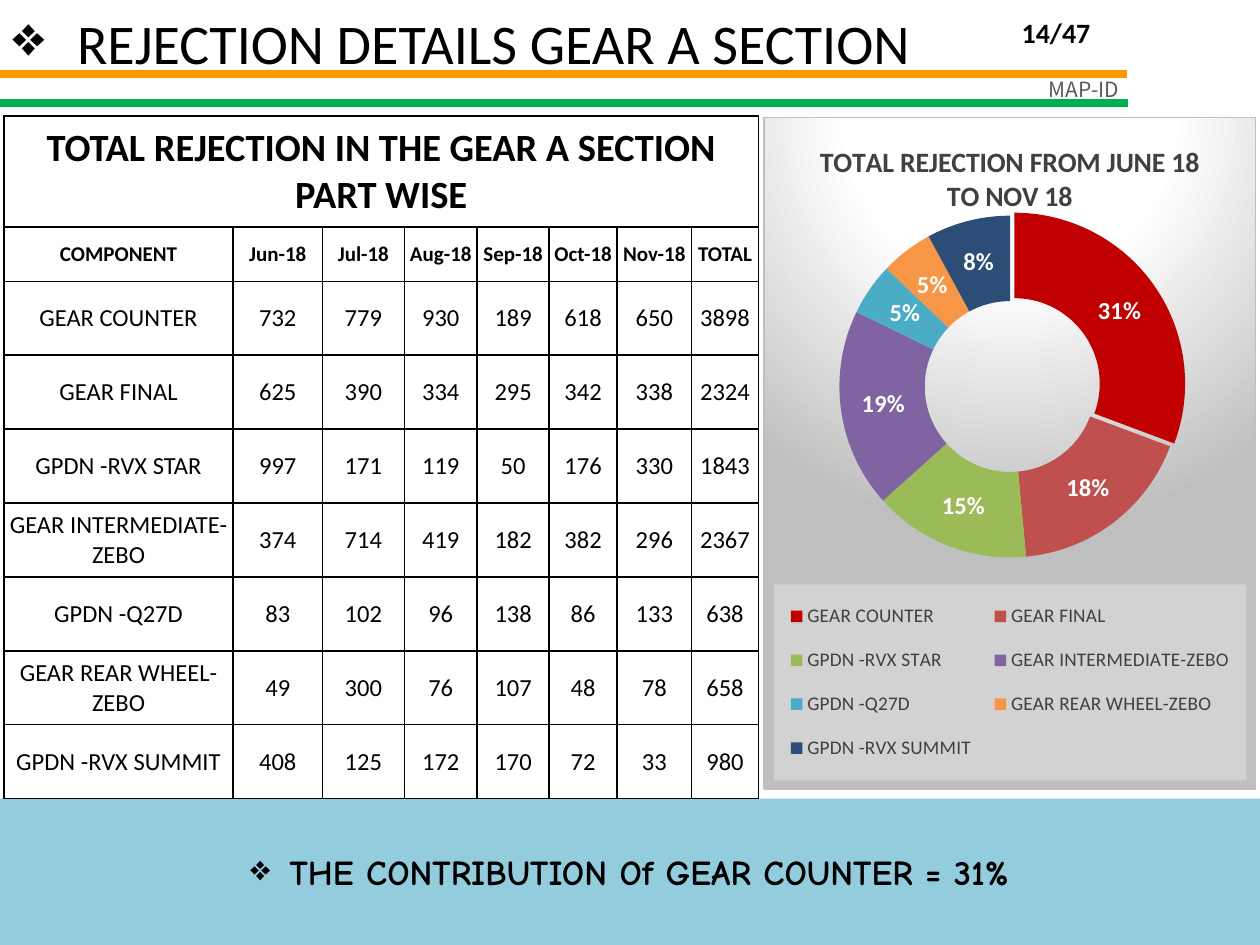
from lxml import etree
from pptx import Presentation
from pptx.chart.data import CategoryChartData
from pptx.dml.color import RGBColor
from pptx.enum.chart import XL_CHART_TYPE as ChartType, XL_LEGEND_POSITION as LegendPosition
from pptx.enum.shapes import MSO_CONNECTOR as Connector, MSO_SHAPE as Shape
from pptx.enum.text import MSO_ANCHOR as Anchor, PP_ALIGN as Align
from pptx.oxml import parse_xml
from pptx.oxml.ns import nsdecls, qn
from pptx.util import Cm, Pt

TITLE = "REJECTION DETAILS GEAR A SECTION"
PAGE = "14/47"
MAP_LABEL = "MAP-ID"
CONCLUSION = "THE CONTRIBUTION Of GEAR COUNTER = 31%"
TABLE_TITLE = "TOTAL REJECTION IN THE GEAR A SECTION PART WISE"
CHART_TITLE = "TOTAL REJECTION FROM JUNE 18 TO NOV 18"
HEADER = ["COMPONENT", "Jun-18", "Jul-18", "Aug-18", "Sep-18", "Oct-18", "Nov-18", "TOTAL"]
# component, monthly rejections, slice colour
COMPONENTS = [
    ("GEAR COUNTER", [732, 779, 930, 189, 618, 650], "C00000"),
    ("GEAR FINAL", [625, 390, 334, 295, 342, 338], "C0504D"),
    ("GPDN -RVX STAR", [997, 171, 119, 50, 176, 330], "9BBB59"),
    ("GEAR INTERMEDIATE-ZEBO", [374, 714, 419, 182, 382, 296], "8064A2"),
    ("GPDN -Q27D", [83, 102, 96, 138, 86, 133], "4BACC6"),
    ("GEAR REAR WHEEL-ZEBO", [49, 300, 76, 107, 48, 78], "F79646"),
    ("GPDN -RVX SUMMIT", [408, 125, 172, 170, 72, 33], "2C4D75"),
]
COLUMN_WIDTHS = [4.62, 1.8, 1.65, 1.47, 1.45, 1.37, 1.5, 1.35]
ROW_HEIGHTS = [2.24, 1.09] + [1.49] * len(COMPONENTS)
# y, right end, colour
RULES = [(1.5, 22.71, "FF9900"), (2.08, 22.73, "00B050")]


def color(value):
    return RGBColor.from_string(value)


def box(left, top, width, height):
    return Cm(left), Cm(top), Cm(width), Cm(height)


def set_font(font, size, hex_color="000000", bold=False, name="Calibri"):
    font.name, font.size, font.bold = name, Pt(size), bold
    font.color.rgb = color(hex_color)


def add_bullet(paragraph, indent):
    properties = paragraph._p.get_or_add_pPr()
    properties.set("marL", str(Cm(indent)))
    properties.set("indent", str(-Cm(indent)))
    etree.SubElement(properties, qn("a:buChar")).set("char", "❖")


def add_rule(slide, y, right, hex_color):
    rule = slide.shapes.add_connector(Connector.STRAIGHT, Cm(0), Cm(y), Cm(right), Cm(y))
    rule.line.color.rgb = color(hex_color)
    rule.line.width = Pt(4.5)
    etree.SubElement(rule._element.spPr, qn("a:effectLst"))


def add_title(slide):
    title = slide.shapes.title
    title.left, title.top, title.width, title.height = box(0, -0.05, 25.4, 1.8)
    title.text_frame.text = TITLE
    title.text_frame.vertical_anchor = Anchor.MIDDLE
    paragraph = title.text_frame.paragraphs[0]
    paragraph.alignment = Align.LEFT
    add_bullet(paragraph, 1.3)
    run = paragraph.runs[0]
    set_font(run.font, 32)
    fill = run._r.rPr.find(qn("a:solidFill"))
    fill.addnext(parse_xml(
        f'<a:effectLst {nsdecls("a")}><a:outerShdw blurRad="38100" dist="38100" dir="2700000">'
        '<a:srgbClr val="000000"><a:alpha val="43000"/></a:srgbClr></a:outerShdw></a:effectLst>'))


def add_label(slide, text, position, **font):
    frame = slide.shapes.add_textbox(*position).text_frame
    frame.word_wrap = True
    frame.vertical_anchor = Anchor.MIDDLE
    frame.text = text
    frame.paragraphs[0].alignment = Align.RIGHT
    set_font(frame.paragraphs[0].runs[0].font, **font)


def add_conclusion(slide):
    band = slide.shapes.add_shape(Shape.RECTANGLE, *box(0, 16.1, 25.4, 2.95))
    band.shadow.inherit = False
    band.fill.solid()
    band.fill.fore_color.rgb = color("93CDDD")
    band.line.fill.background()
    frame = band.text_frame
    frame.vertical_anchor = Anchor.MIDDLE
    frame.text = CONCLUSION
    paragraph = frame.paragraphs[0]
    paragraph.alignment = Align.CENTER
    add_bullet(paragraph, 0.79)
    set_font(paragraph.runs[0].font, 20, bold=True, name="Comic Neue")


def format_cell(cell, text, size, bold):
    cell.margin_left = cell.margin_right = cell.margin_top = cell.margin_bottom = 0
    cell.vertical_anchor = Anchor.MIDDLE
    cell.fill.background()
    for index, side in enumerate(("lnL", "lnR", "lnT", "lnB")):
        cell._tc.tcPr.insert(index, parse_xml(
            f'<a:{side} {nsdecls("a")} w="12700"><a:solidFill><a:srgbClr val="000000"/>'
            f'</a:solidFill></a:{side}>'))
    if text:
        cell.text = text
        paragraph = cell.text_frame.paragraphs[0]
        paragraph.alignment = Align.CENTER
        set_font(paragraph.runs[0].font, size, bold=bold)


def add_rejection_table(slide):
    rows = [[TABLE_TITLE] + [""] * (len(HEADER) - 1), HEADER]
    rows += [[name, *map(str, months), str(sum(months))] for name, months, _ in COMPONENTS]
    table = slide.shapes.add_table(
        len(rows), len(HEADER),
        *box(0.08, 2.34, sum(COLUMN_WIDTHS), sum(ROW_HEIGHTS))).table
    table.first_row = table.horz_banding = False
    for column, width in zip(table.columns, COLUMN_WIDTHS):
        column.width = Cm(width)
    for row, height in zip(table.rows, ROW_HEIGHTS):
        row.height = Cm(height)
    table.cell(0, 0).merge(table.cell(0, len(HEADER) - 1))
    for r, values in enumerate(rows):
        size, bold = {0: (22, True), 1: (12, True)}.get(r, (14, False))
        for c, value in enumerate(values):
            format_cell(table.cell(r, c), value, size, bold)


def manual_layout(x, y, width, height, target=""):
    return parse_xml(
        f'<c:layout {nsdecls("c")}><c:manualLayout>{target}'
        '<c:xMode val="edge"/><c:yMode val="edge"/>'
        f'<c:x val="{x}"/><c:y val="{y}"/><c:w val="{width}"/><c:h val="{height}"/>'
        '</c:manualLayout></c:layout>')


def remove_layout(element):
    for layout in element.findall(qn("c:layout")):
        element.remove(layout)


def style_chart_area(chart):
    stops = "".join(f'<a:gs pos="{position}"><a:srgbClr val="{value}"/></a:gs>' for position, value
                    in [(0, "FFFFFF"), (39000, "FFFFFF"), (100000, "BFBFBF")])
    chart.element.find(qn("c:chart")).addnext(parse_xml(
        f'<c:spPr {nsdecls("c", "a")}><a:gradFill><a:gsLst>{stops}</a:gsLst>'
        '<a:path path="circle"><a:fillToRect l="50000" t="-80000" r="50000" b="180000"/></a:path>'
        '</a:gradFill><a:ln w="9525"><a:solidFill><a:srgbClr val="BFBFBF"/></a:solidFill></a:ln>'
        '</c:spPr>'))


def add_share_chart(slide):
    totals = [sum(months) for _, months, _ in COMPONENTS]
    data = CategoryChartData()
    data.categories = [name for name, _, _ in COMPONENTS]
    data.add_series("Series 1", [round(100 * total / sum(totals)) for total in totals])
    chart = slide.shapes.add_chart(
        ChartType.DOUGHNUT, *box(15.39, 2.36, 9.93, 13.56), data).chart
    set_font(chart.font, 10)
    style_chart_area(chart)

    chart.has_title = True
    chart.chart_title.text_frame.text = CHART_TITLE
    set_font(chart.chart_title.text_frame.paragraphs[0].runs[0].font, 16, "404040", True)

    plot = chart.plots[0]
    plot.vary_by_categories = True
    for index, (_, _, hex_color) in enumerate(COMPONENTS):
        fill = plot.series[0].points[index].format.fill
        fill.solid()
        fill.fore_color.rgb = color(hex_color)
    first_point = plot.series[0]._element.find(qn("c:dPt"))
    first_point.find(qn("c:spPr")).addprevious(
        parse_xml(f'<c:explosion {nsdecls("c")} val="6"/>'))
    plot.has_data_labels = True
    labels = plot.data_labels
    labels.show_percentage, labels.show_value = True, False
    labels.number_format, labels.number_format_is_linked = "0%", False
    set_font(labels.font, 14, "FFFFFF", True)
    plot_area = chart.element.find(".//" + qn("c:plotArea"))
    remove_layout(plot_area)
    plot_area.insert(0, manual_layout(0.13, 0.146, 0.742, 0.509,
                                      '<c:layoutTarget val="inner"/>'))

    chart.has_legend = True
    chart.legend.position = LegendPosition.RIGHT
    chart.legend.include_in_layout = False
    set_font(chart.legend.font, 11, "404040")
    legend = chart.element.find(".//" + qn("c:legend"))
    remove_layout(legend)
    legend.find(qn("c:legendPos")).addnext(manual_layout(0.02, 0.695, 0.962, 0.292))
    legend.find(qn("c:overlay")).addnext(parse_xml(
        f'<c:spPr {nsdecls("c", "a")}><a:solidFill><a:srgbClr val="D2D2D2"/></a:solidFill></c:spPr>'))


def main():
    presentation = Presentation()
    presentation.slide_width, presentation.slide_height = Cm(25.4), Cm(19.05)
    slide = presentation.slides.add_slide(presentation.slide_layouts[5])
    for rule in RULES:
        add_rule(slide, *rule)
    add_label(slide, MAP_LABEL, box(19, 1.42, 3.81, 0.76),
              size=12, hex_color="595959", name="Noto Sans CJK JP")
    add_conclusion(slide)
    add_title(slide)
    add_rejection_table(slide)
    add_share_chart(slide)
    add_label(slide, PAGE, box(16.31, 0.15, 5.92, 1.02), size=16, bold=True)
    presentation.save("out.pptx")


if __name__ == "__main__":
    main()
